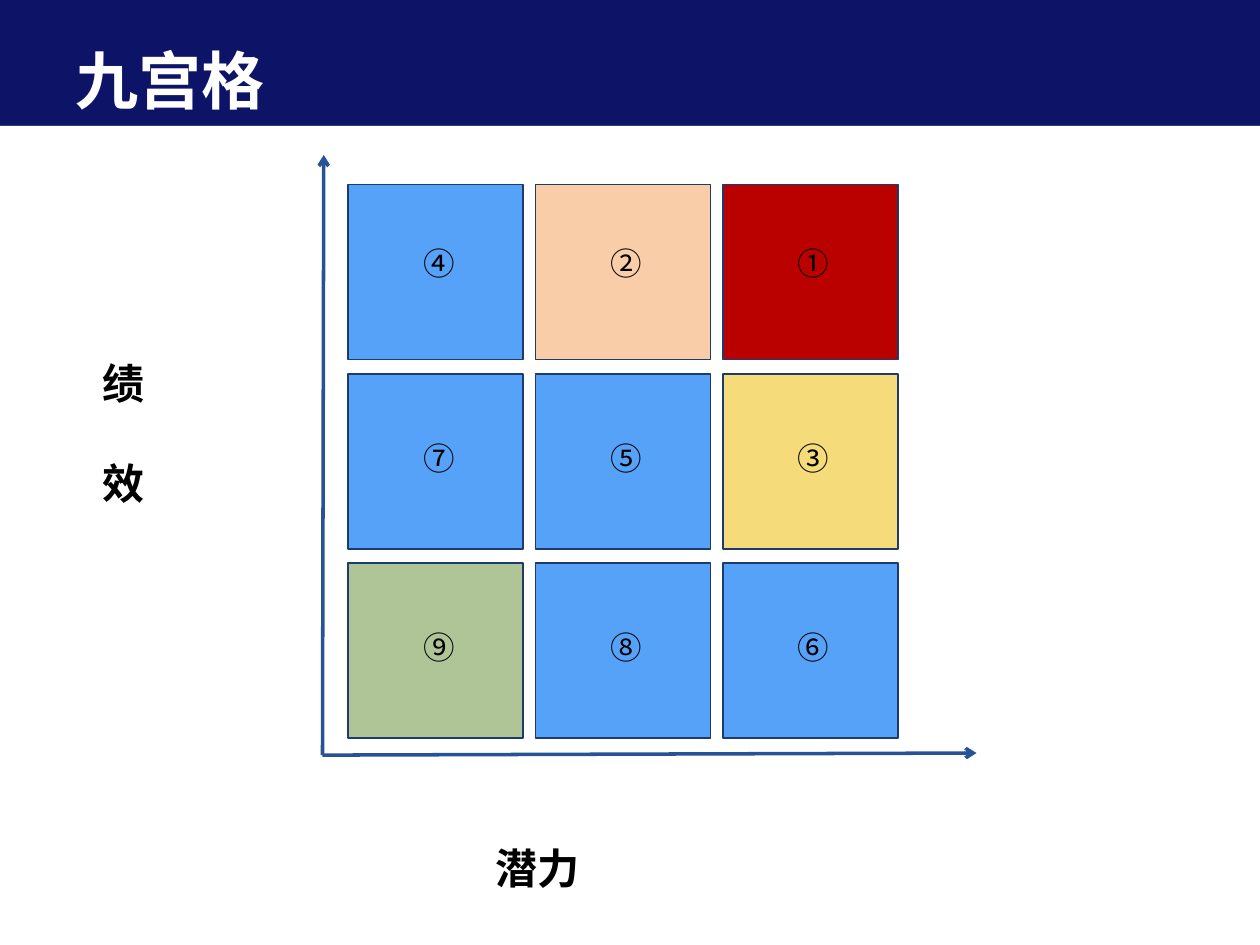
from dataclasses import dataclass

from lxml.etree import SubElement
from pptx import Presentation
from pptx.dml.color import RGBColor
from pptx.enum.shapes import MSO_CONNECTOR as Connector, MSO_SHAPE as Shape
from pptx.enum.text import MSO_ANCHOR as Anchor, PP_ALIGN as Align
from pptx.oxml.ns import qn
from pptx.util import Pt


@dataclass(frozen=True)
class Theme:
    font: str = "Noto Sans CJK SC"
    navy: str = "0D1367"
    rule: str = "344666"
    axis: str = "285296"
    border: str = "1D3B6D"
    blue: str = "55A2F8"
    peach: str = "F9CDA8"
    red: str = "BB0000"
    yellow: str = "F5DB7A"
    green: str = "AFC597"
    black: str = "000000"
    white: str = "FFFFFF"
    title_size: int = 36
    label_size: int = 24
    number_size: int = 18
    line_height: float = 1.28


class SlideBuilder:
    def __init__(self, slide, theme):
        self.slide = slide
        self.theme = theme

    def format_runs(self, paragraph, size, color, bold=False):
        for run in paragraph.runs:
            run.font.size = Pt(size)
            run.font.bold = bold
            run.font.color.rgb = RGBColor.from_string(color)
            run.font.name = self.theme.font
            east_asian = SubElement(run.font._element, qn("a:ea"))
            east_asian.set("typeface", self.theme.font)

    def set_margins(self, text_frame, left=0, bottom=0):
        text_frame.margin_left = Pt(left)
        text_frame.margin_bottom = Pt(bottom)
        text_frame.margin_top = text_frame.margin_right = 0

    def rectangle(self, left, top, width, height, fill, border=None):
        shape = self.slide.shapes.add_shape(
            Shape.RECTANGLE, Pt(left), Pt(top), Pt(width), Pt(height))
        shape.shadow.inherit = False
        shape.fill.solid()
        shape.fill.fore_color.rgb = RGBColor.from_string(fill)
        if border:
            shape.line.color.rgb = RGBColor.from_string(border)
            shape.line.width = Pt(1)
        else:
            shape.line.fill.background()
        return shape

    def cell(self, left, top, size, fill, number, lift):
        shape = self.rectangle(left, top, size, size, fill, self.theme.border)
        text_frame = shape.text_frame
        self.set_margins(text_frame, left=4, bottom=lift)
        text_frame.vertical_anchor = Anchor.MIDDLE
        text_frame.text = number
        paragraph = text_frame.paragraphs[0]
        paragraph.alignment = Align.CENTER
        self.format_runs(paragraph, self.theme.number_size, self.theme.black)

    def line(self, start, end, color, width, arrow=False):
        connector = self.slide.shapes.add_connector(
            Connector.STRAIGHT, *map(Pt, start + end))
        connector.line.color.rgb = RGBColor.from_string(color)
        connector.line.width = Pt(width)
        properties = connector._element.spPr
        if arrow:
            SubElement(properties.find(qn("a:ln")), qn("a:tailEnd"), type="arrow")
        SubElement(properties, qn("a:effectLst"))

    def text(self, left, top, width, height, text, size, color, gap=0):
        box = self.slide.shapes.add_textbox(Pt(left), Pt(top), Pt(width), Pt(height))
        text_frame = box.text_frame
        self.set_margins(text_frame)
        text_frame.word_wrap = True
        text_frame.text = text
        for index, paragraph in enumerate(text_frame.paragraphs):
            paragraph.line_spacing = Pt(round(size * self.theme.line_height))
            paragraph.space_before = Pt(gap if index else 0)
            self.format_runs(paragraph, size, color, bold=True)


def main():
    presentation = Presentation()
    presentation.slide_width = Pt(720)
    presentation.slide_height = Pt(540)
    theme = Theme()
    slide = presentation.slides.add_slide(presentation.slide_layouts[6])
    builder = SlideBuilder(slide, theme)

    band_height = 71.5
    builder.line((0, band_height), (720, band_height), theme.rule, 0.75)
    builder.rectangle(0, 0, 720, band_height, theme.navy)

    origin = (184.3, 431.5)
    builder.line(origin, (185, 88.6), theme.axis, 2, arrow=True)
    builder.line(origin, (558, 430.3), theme.axis, 2, arrow=True)

    grid_left, grid_top, cell_size = 199, 105.5, 100
    column_pitch, row_pitch = 107, 108.2
    rows = ("④②①", "⑦⑤③", "⑨⑧⑥")
    highlights = {"①": theme.red, "②": theme.peach, "③": theme.yellow, "⑨": theme.green}
    for row, numbers in enumerate(rows):
        for column, number in enumerate(numbers):
            builder.cell(grid_left + column * column_pitch, grid_top + row * row_pitch,
                         cell_size, highlights.get(number, theme.blue), number,
                         lift=4 if row else 10)

    builder.text(58.3, 202, 26, 58, "绩\n效", theme.label_size, theme.black, gap=26)
    builder.text(283, 479, 50, 30, "潜力", theme.label_size, theme.black)
    builder.text(43, 21, 110, 44, "九宫格", theme.title_size, theme.white)

    presentation.save("out.pptx")


if __name__ == "__main__":
    main()
